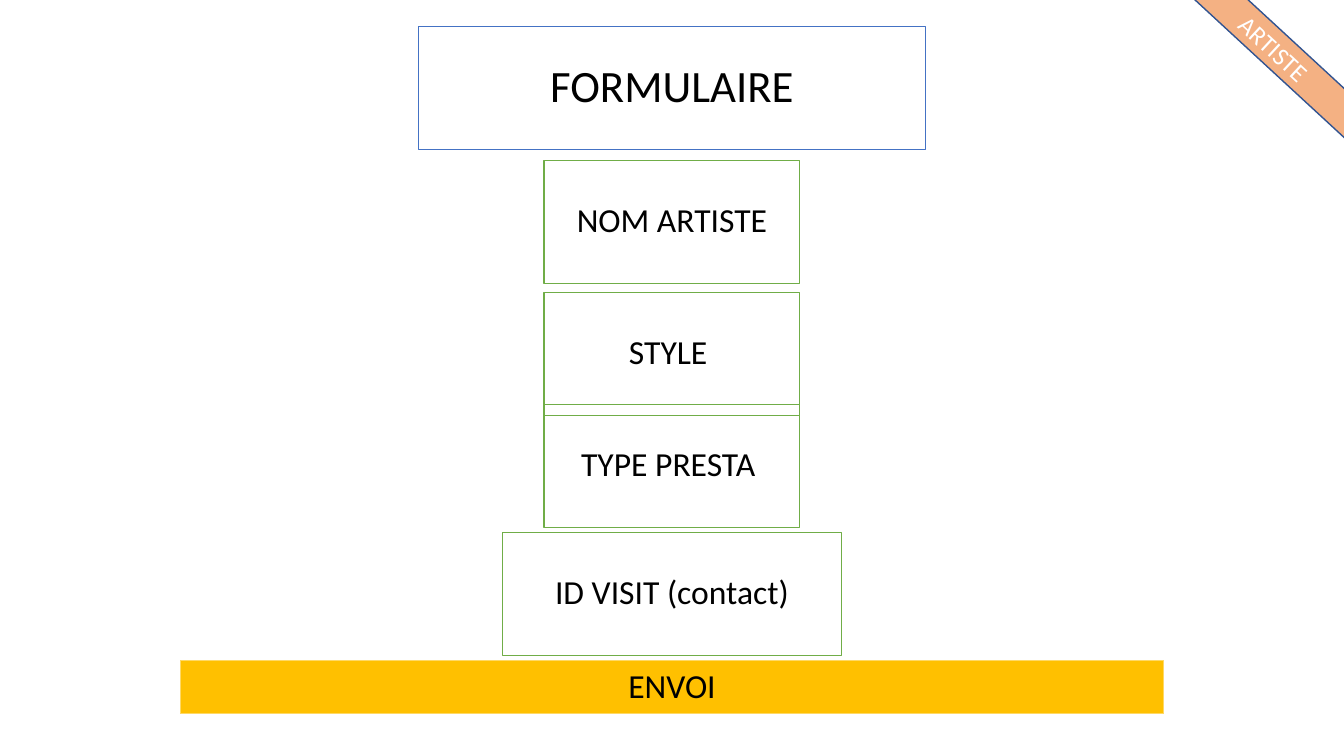
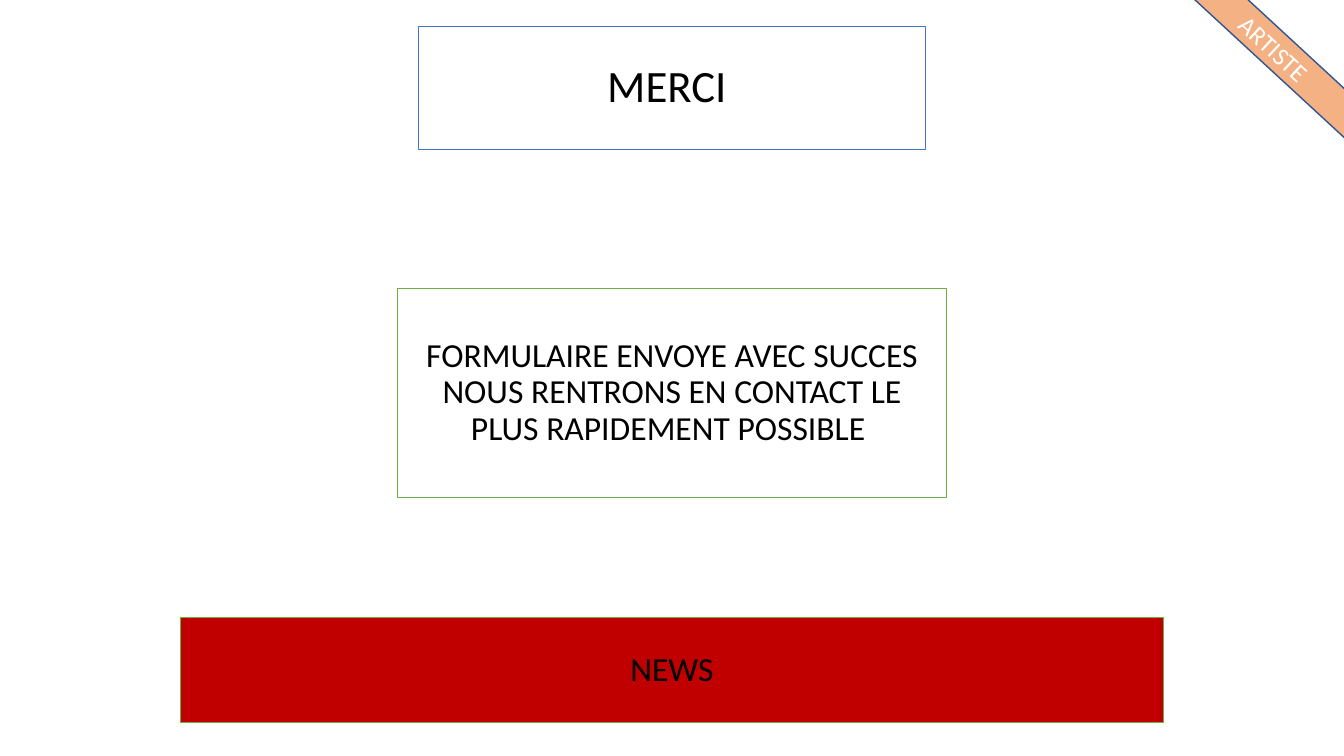
from pptx import Presentation
from pptx.dml.color import RGBColor
from pptx.enum.shapes import MSO_SHAPE as SHAPE
from pptx.enum.text import MSO_ANCHOR as ANCHOR, MSO_AUTO_SIZE as AUTO, PP_ALIGN as ALIGN
from pptx.util import Cm, Pt

# Shared style
BLACK = RGBColor(0x00, 0x00, 0x00)
WHITE = RGBColor(0xFF, 0xFF, 0xFF)
BLUE = RGBColor(0x44, 0x72, 0xC4)
NAVY = RGBColor(0x32, 0x54, 0x91)
GREEN = RGBColor(0x70, 0xAD, 0x47)
AMBER = RGBColor(0xFF, 0xC0, 0x00)
PALE_AMBER = RGBColor(0xFF, 0xD9, 0x66)
RED = RGBColor(0xC0, 0x00, 0x00)
PEACH = RGBColor(0xF4, 0xB1, 0x83)
FONT = "Calibri"
SLIDE_W, SLIDE_H = 33.87, 19.05
FIELD_W, FIELD_H = 6.45, 3.1
BAR_W = 24.78


class Deck:
    def __init__(self):
        self.prs = Presentation()
        self.prs.slide_width, self.prs.slide_height = Cm(SLIDE_W), Cm(SLIDE_H)
        self.s = None

    def slide(self, title):
        self.s = self.prs.slides.add_slide(self.prs.slide_layouts[5])
        sp = self.s.shapes.title
        w = 12.8
        sp.left, sp.top = Cm((SLIDE_W - w) / 2), Cm(0.66)
        sp.width, sp.height = Cm(w), Cm(FIELD_H)
        self.outline(sp, None, BLUE)
        self.label(sp, title, 32)

    def outline(self, sp, fill, line, weight=0.75):
        if fill is None:
            sp.fill.background()
        else:
            sp.fill.solid()
            sp.fill.fore_color.rgb = fill
        sp.line.color.rgb = line
        sp.line.width = Pt(weight)

    def label(self, sp, text, size, color=BLACK, spacing=0.9):
        tf = sp.text_frame
        tf.text = text
        tf.word_wrap = True
        tf.auto_size = AUTO.NONE
        tf.vertical_anchor = ANCHOR.MIDDLE
        for p in tf.paragraphs:
            p.alignment = ALIGN.CENTER
            p.line_spacing = spacing
            for r in p.runs:
                r.font.name, r.font.size = FONT, Pt(size)
                r.font.color.rgb = color

    def rect(self, left, top, w, h):
        sp = self.s.shapes.add_shape(SHAPE.RECTANGLE, Cm(left), Cm(top), Cm(w), Cm(h))
        sp.shadow.inherit = False
        return sp

    def box(self, text, top, w=FIELD_W, h=FIELD_H, fill=None, line=GREEN):
        """Add a box centred across the slide."""
        sp = self.rect((SLIDE_W - w) / 2, top, w, h)
        self.outline(sp, fill, line)
        self.label(sp, text, 24)

    def ribbon(self, text):
        sp = self.rect(28.88, 0.76, 6.45, 0.91)
        sp.rotation = 42.7
        self.outline(sp, PEACH, NAVY, 1)
        self.label(sp, text, 18, WHITE, 1.0)


deck = Deck()

# Slide 1: form
deck.slide("FORMULAIRE")
for field, top in (("NOM ARTISTE", 4.04), ("STYLE ", 7.37), ("TYPE PRESTA ", 10.19)):
    deck.box(field, top)
deck.box("ID VISIT (contact)", 13.41, w=8.53)
deck.box("ENVOI", 16.64, BAR_W, 1.35, AMBER, PALE_AMBER)
deck.ribbon("ARTISTE")

# Slide 2: thanks
deck.slide("MERCI ")
deck.box("FORMULAIRE ENVOYE AVEC SUCCES\n"
         "NOUS RENTRONS EN CONTACT LE PLUS RAPIDEMENT POSSIBLE ", 7.27, 13.82, 5.26)
deck.box("NEWS", 15.57, BAR_W, 2.64, RED)
deck.ribbon("ARTISTE")

deck.prs.save("out.pptx")
